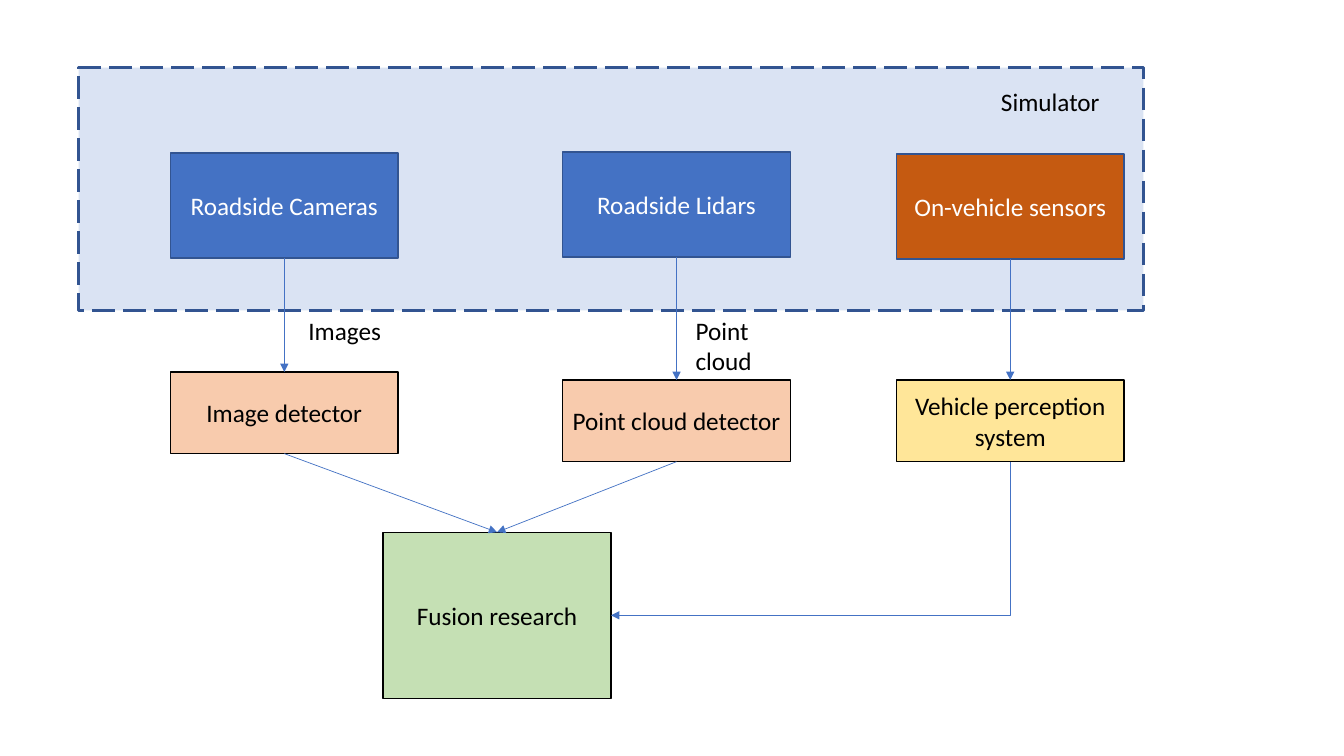
from dataclasses import dataclass

from lxml.etree import SubElement
from pptx import Presentation
from pptx.dml.color import RGBColor
from pptx.enum.dml import MSO_LINE
from pptx.enum.shapes import MSO_CONNECTOR, MSO_SHAPE
from pptx.enum.text import MSO_ANCHOR, MSO_AUTO_SIZE, PP_ALIGN
from pptx.oxml.ns import qn
from pptx.shapes.autoshape import Shape
from pptx.shapes.connector import Connector
from pptx.slide import Slide
from pptx.text.text import TextFrame
from pptx.util import Emu, Pt

EMU_PER_PX = 9144  # 100 px to the inch
TOP, LEFT, BOTTOM, RIGHT = 0, 1, 2, 3
BOX_WIDTH, SENSOR_HEIGHT, DETECTOR_HEIGHT = 226, 104, 81


@dataclass(frozen=True)
class Theme:
    font: str = "Calibri"
    text_size: float = 18
    box_line: float = 1
    simulator_line: float = 2
    arrow_line: float = 0.5
    black: str = "000000"
    white: str = "FFFFFF"
    blue: str = "4472C4"
    dark_blue: str = "325491"
    pale_blue: str = "DAE3F3"
    orange: str = "C55A11"
    peach: str = "F8CBAD"
    yellow: str = "FFE699"
    green: str = "C5E0B4"


THEME = Theme()


@dataclass(frozen=True)
class Box:
    text: str
    left: int
    top: int
    height: int
    fill: str
    outline: str = THEME.black
    text_color: str = THEME.black
    width: int = BOX_WIDTH


@dataclass(frozen=True)
class Label:
    text: str
    left: int
    top: int
    width: int
    height: int


@dataclass(frozen=True)
class Arrow:
    source: str
    target: str
    target_side: int = TOP


def sensor(text: str, left: int, top: int, fill: str) -> Box:
    return Box(text, left, top, SENSOR_HEIGHT, fill, THEME.dark_blue, THEME.white)


SIMULATOR = Box("", 78, 67, 241, THEME.pale_blue, THEME.dark_blue, width=1056)
BOXES = [
    sensor("Roadside Cameras", 169, 152, THEME.blue),
    sensor("Roadside Lidars", 558, 151, THEME.blue),
    sensor("On-vehicle sensors", 889, 153, THEME.orange),
    Box("Image detector", 169, 369, DETECTOR_HEIGHT, THEME.peach),
    Box("Point cloud detector", 558, 377, DETECTOR_HEIGHT, THEME.peach),
    Box("Vehicle perception system", 889, 377, DETECTOR_HEIGHT, THEME.yellow),
    Box("Fusion research", 380, 528, 165, THEME.green),
]
LABELS = [
    Label("Simulator", 983, 81, 167, 40),
    Label("Images", 296, 308, 99, 40),
    Label("Point cloud", 680, 308, 99, 71),
]
ARROWS = [
    Arrow("Roadside Cameras", "Image detector"),
    Arrow("Roadside Lidars", "Point cloud detector"),
    Arrow("On-vehicle sensors", "Vehicle perception system"),
    Arrow("Image detector", "Fusion research"),
    Arrow("Point cloud detector", "Fusion research"),
    Arrow("Vehicle perception system", "Fusion research", RIGHT),
]


def px(length: int) -> Emu:
    return Emu(length * EMU_PER_PX)


def rgb(color: str) -> RGBColor:
    return RGBColor.from_string(color)


def write_text(frame: TextFrame, text: str, color: str, alignment: PP_ALIGN) -> None:
    frame.word_wrap = True
    paragraph = frame.paragraphs[0]
    paragraph.alignment = alignment
    run = paragraph.add_run()
    run.text = text
    run.font.name = THEME.font
    run.font.size = Pt(THEME.text_size)
    run.font.color.rgb = rgb(color)


def add_box(slide: Slide, box: Box) -> Shape:
    shape = slide.shapes.add_shape(
        MSO_SHAPE.RECTANGLE, px(box.left), px(box.top), px(box.width), px(box.height)
    )
    shape.shadow.inherit = False
    shape.fill.solid()
    shape.fill.fore_color.rgb = rgb(box.fill)
    shape.line.color.rgb = rgb(box.outline)
    shape.line.width = Pt(THEME.box_line)
    if box.text:
        shape.text_frame.vertical_anchor = MSO_ANCHOR.MIDDLE
        write_text(shape.text_frame, box.text, box.text_color, PP_ALIGN.CENTER)
    return shape


def add_label(slide: Slide, label: Label) -> None:
    text_box = slide.shapes.add_textbox(
        px(label.left), px(label.top), px(label.width), px(label.height)
    )
    write_text(text_box.text_frame, label.text, THEME.black, PP_ALIGN.LEFT)
    text_box.text_frame.auto_size = MSO_AUTO_SIZE.SHAPE_TO_FIT_TEXT


def bend_down_then_left(connector: Connector) -> None:
    """Give the connector one corner: a two-part elbow turned by 90 degrees."""
    across, down = connector.width, connector.height
    center_x = connector.left + across // 2
    center_y = connector.top + down // 2
    properties = connector._element.spPr
    transform = properties.find(qn("a:xfrm"))
    transform.attrib.pop("flipH", None)
    transform.set("rot", str(90 * 60000))
    properties.find(qn("a:prstGeom")).set("prst", "bentConnector2")
    connector.left, connector.top = center_x - down // 2, center_y - across // 2
    connector.width, connector.height = down, across


def add_arrow(slide: Slide, arrow: Arrow, shapes: dict[str, Shape]) -> None:
    bent = arrow.target_side == RIGHT
    kind = MSO_CONNECTOR.ELBOW if bent else MSO_CONNECTOR.STRAIGHT
    connector = slide.shapes.add_connector(kind, 0, 0, 0, 0)
    connector.begin_connect(shapes[arrow.source], BOTTOM)
    connector.end_connect(shapes[arrow.target], arrow.target_side)
    if bent:
        bend_down_then_left(connector)
    connector.line.color.rgb = rgb(THEME.blue)
    connector.line.width = Pt(THEME.arrow_line)
    properties = connector._element.spPr
    SubElement(properties.find(qn("a:ln")), qn("a:tailEnd"), type="triangle")
    SubElement(properties, qn("a:effectLst"))


def main() -> None:
    presentation = Presentation()
    presentation.slide_width, presentation.slide_height = px(1333), px(750)
    blank_layout = presentation.slide_layouts[6]
    slide = presentation.slides.add_slide(blank_layout)

    simulator = add_box(slide, SIMULATOR)
    simulator.line.width = Pt(THEME.simulator_line)
    simulator.line.dash_style = MSO_LINE.LONG_DASH
    shapes = {box.text: add_box(slide, box) for box in BOXES}
    for label in LABELS:
        add_label(slide, label)
    for arrow in ARROWS:
        add_arrow(slide, arrow, shapes)

    presentation.save("out.pptx")


if __name__ == "__main__":
    main()
